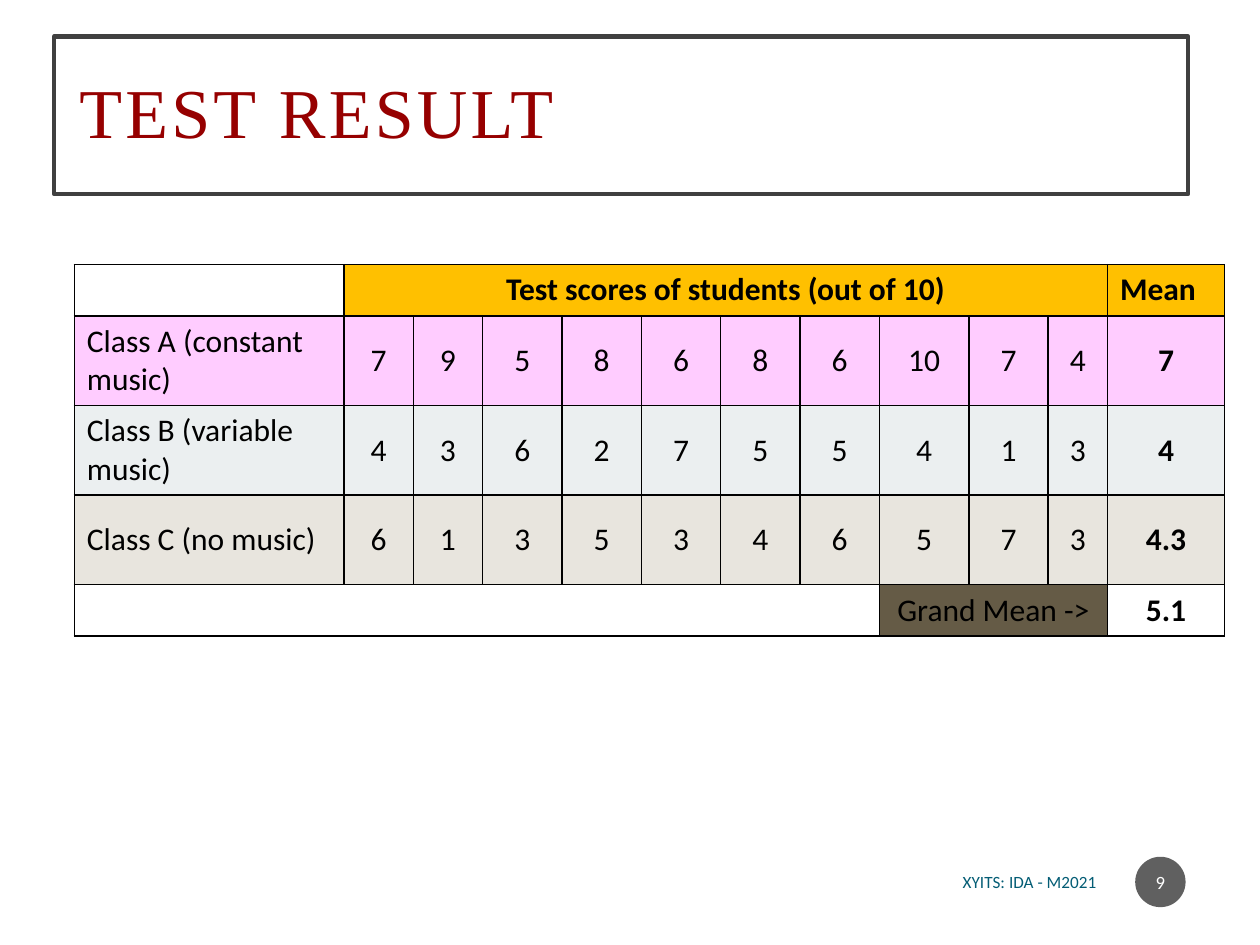
import pptx
import pptx.util
import pptx.dml.color
import pptx.enum.shapes
import pptx.enum.text
import pptx.oxml.ns
from lxml import etree

Inches, Pt = pptx.util.Inches, pptx.util.Pt
ALIGN = pptx.enum.text.PP_ALIGN
ANCHOR = pptx.enum.text.MSO_ANCHOR
SHAPE = pptx.enum.shapes.MSO_SHAPE
qn = pptx.oxml.ns.qn

COLORS = {
    "white": "FFFFFF", "black": "000000", "frame": "404040",
    "title": "960000", "footer": "045D75", "badge": "1D1D1D",
    "header": "FFC000", "class_a": "FFCCFF", "class_b": "EBEFF0",
    "class_c": "E8E5DE", "grand_mean": "655B46",
}
CLASSES = [
    ("Class A (constant music)", [7, 9, 5, 8, 6, 8, 6, 10, 7, 4], "7", "class_a", ANCHOR.TOP),
    ("Class B (variable music)", [4, 3, 6, 2, 7, 5, 5, 4, 1, 3], "4", "class_b", ANCHOR.TOP),
    ("Class C (no music)", [6, 1, 3, 5, 3, 4, 6, 5, 7, 3], "4.3", "class_c", ANCHOR.MIDDLE),
]
COLUMN_WIDTHS = [2.14, 0.55, 0.55] + [0.63] * 5 + [0.71, 0.63, 0.47, 0.93]
ROW_HEIGHTS = [0.41, 0.71, 0.71, 0.71, 0.41]
MEAN_COLUMN = len(COLUMN_WIDTHS) - 1
GRAND_MEAN_COLUMN = 8


def rgb(name):
    return pptx.dml.color.RGBColor.from_string(COLORS[name])


def write(frame, text, size, color, font="Calibri", align=ALIGN.LEFT, bold=False):
    paragraph = frame.paragraphs[0]
    paragraph.text = text
    paragraph.alignment = align
    paragraph.font.name = font
    paragraph.font.size = Pt(size)
    paragraph.font.bold = bold
    paragraph.font.color.rgb = rgb(color)
    return paragraph


def add_title(slide):
    box = slide.shapes.add_shape(SHAPE.RECTANGLE, Inches(0.43), Inches(0.29), Inches(9), Inches(1.25))
    box.shadow.inherit = False
    box.fill.solid()
    box.fill.fore_color.rgb = rgb("white")
    box.line.color.rgb = rgb("frame")
    box.line.width = Pt(2.5)
    frame = box.text_frame
    frame.margin_left = frame.margin_right = Inches(0.2)
    frame.margin_top = frame.margin_bottom = Inches(0.2)
    frame.vertical_anchor = ANCHOR.MIDDLE
    title = write(frame, "TEST RESULT", 40, "title", font="Times New Roman")
    title.line_spacing = 0.9
    title.runs[0].font._element.set("spc", "190")


def add_borders(cell):
    properties = cell._tc.get_or_add_tcPr()
    for side in ("a:lnL", "a:lnR", "a:lnT", "a:lnB"):
        line = etree.SubElement(properties, qn(side), w=str(Pt(1)))
        fill = etree.SubElement(line, qn("a:solidFill"))
        etree.SubElement(fill, qn("a:srgbClr"), val=COLORS["black"])


def fill_cell(cell, color, text="", align=ALIGN.CENTER, anchor=ANCHOR.MIDDLE, bold=False):
    cell.fill.solid()
    cell.fill.fore_color.rgb = rgb(color)
    cell.vertical_anchor = anchor
    write(cell.text_frame, text, 18, "black", align=align, bold=bold)


def add_scores(slide):
    scores_table = slide.shapes.add_table(
        len(ROW_HEIGHTS), len(COLUMN_WIDTHS), Inches(0.59), Inches(2.1),
        Inches(sum(COLUMN_WIDTHS)), Inches(sum(ROW_HEIGHTS))).table
    for column, width in zip(scores_table.columns, COLUMN_WIDTHS):
        column.width = Inches(width)
    for row, height in zip(scores_table.rows, ROW_HEIGHTS):
        row.height = Inches(height)
    for cell in scores_table.iter_cells():
        add_borders(cell)

    cell = scores_table.cell
    last = len(ROW_HEIGHTS) - 1
    cell(0, 1).merge(cell(0, MEAN_COLUMN - 1))
    cell(last, 0).merge(cell(last, GRAND_MEAN_COLUMN - 1))
    cell(last, GRAND_MEAN_COLUMN).merge(cell(last, MEAN_COLUMN - 1))

    fill_cell(cell(0, 0), "white")
    fill_cell(cell(0, 1), "header", "Test scores of students (out of 10)",
              anchor=ANCHOR.TOP, bold=True)
    fill_cell(cell(0, MEAN_COLUMN), "header", "Mean", ALIGN.LEFT, ANCHOR.TOP, bold=True)
    for row, (label, scores, mean, color, anchor) in enumerate(CLASSES, start=1):
        fill_cell(cell(row, 0), color, label, ALIGN.LEFT, anchor)
        for column, score in enumerate(scores, start=1):
            fill_cell(cell(row, column), color, str(score))
        fill_cell(cell(row, MEAN_COLUMN), color, mean, bold=True)
    fill_cell(cell(last, 0), "white")
    fill_cell(cell(last, GRAND_MEAN_COLUMN), "grand_mean", "Grand Mean ->")
    fill_cell(cell(last, MEAN_COLUMN), "white", "5.1", bold=True)


def add_footer(slide):
    footer = slide.shapes.add_textbox(Inches(6.54), Inches(6.82), Inches(2.26), Inches(0.35))
    frame = footer.text_frame
    frame.word_wrap = True
    frame.vertical_anchor = ANCHOR.MIDDLE
    write(frame, "XYITS: IDA - M2021", 9.8, "footer", align=ALIGN.RIGHT)


def add_page_number(slide):
    badge = slide.shapes.add_shape(SHAPE.OVAL, Inches(9.01), Inches(6.8), Inches(0.4), Inches(0.4))
    badge.shadow.inherit = False
    badge.fill.solid()
    badge.fill.fore_color.rgb = rgb("badge")
    color = badge._element.spPr.find(qn("a:solidFill")).find(qn("a:srgbClr"))
    etree.SubElement(color, qn("a:alpha"), val="70000")
    badge.line.fill.background()
    frame = badge.text_frame
    frame.margin_left = frame.margin_right = Inches(0.02)
    frame.vertical_anchor = ANCHOR.MIDDLE
    write(frame, "9", 10.7, "white", align=ALIGN.CENTER)


def main():
    presentation = pptx.Presentation()
    presentation.slide_width = Inches(10)
    presentation.slide_height = Inches(7.5)
    slide = presentation.slides.add_slide(presentation.slide_layouts[6])
    add_title(slide)
    add_footer(slide)
    add_scores(slide)
    add_page_number(slide)
    presentation.save("out.pptx")


if __name__ == "__main__":
    main()
